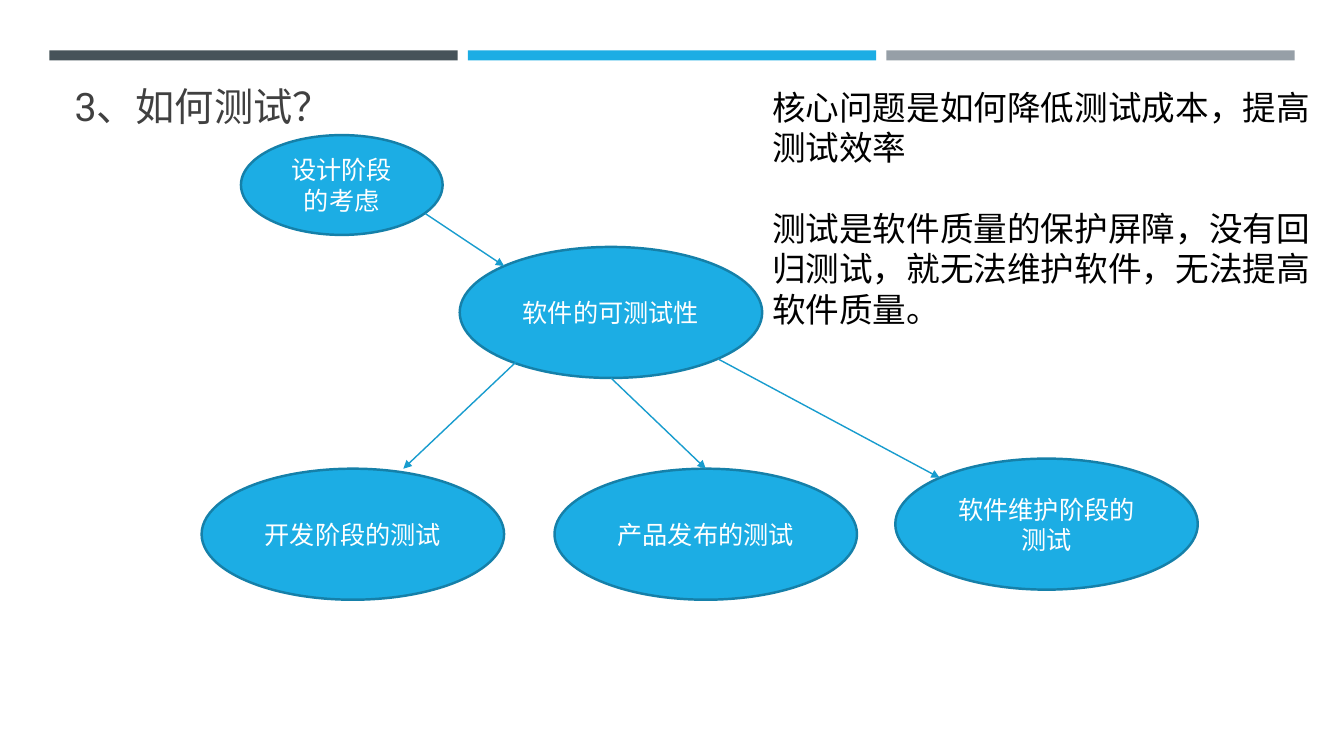
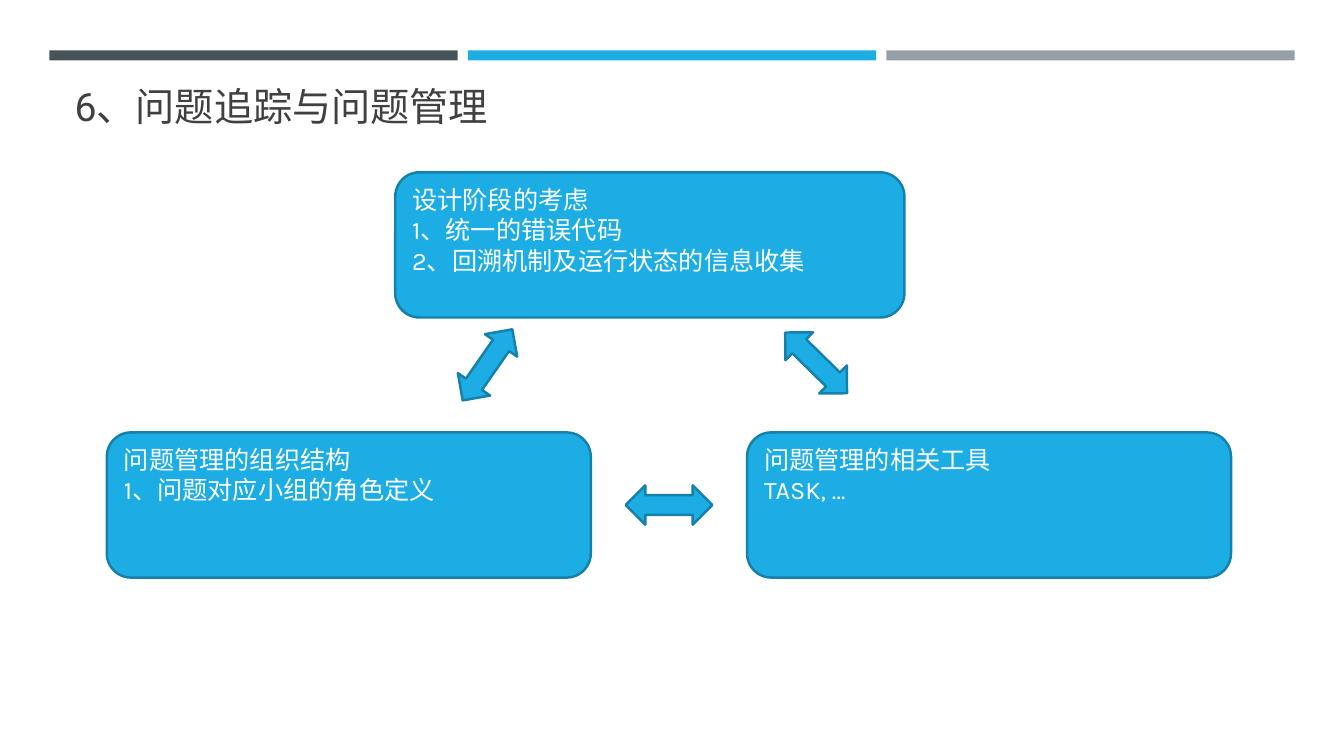
from lxml import etree
from pptx import Presentation
from pptx.dml.color import RGBColor
from pptx.enum.shapes import MSO_CONNECTOR, MSO_SHAPE
from pptx.enum.text import MSO_ANCHOR, MSO_AUTO_SIZE, PP_ALIGN
from pptx.oxml.ns import qn
from pptx.util import Inches, Pt

RECTANGLE = MSO_SHAPE.RECTANGLE
ELLIPSE = MSO_SHAPE.OVAL
ROUNDED = MSO_SHAPE.ROUNDED_RECTANGLE
DOUBLE_ARROW = MSO_SHAPE.UP_DOWN_ARROW
STRAIGHT = MSO_CONNECTOR.STRAIGHT
TOP, MIDDLE = MSO_ANCHOR.TOP, MSO_ANCHOR.MIDDLE
LEFT, CENTER = PP_ALIGN.LEFT, PP_ALIGN.CENTER
NO_AUTOFIT = MSO_AUTO_SIZE.NONE

SLATE = RGBColor(0x46, 0x53, 0x59)
BLUE = RGBColor(0x1C, 0xAD, 0xE4)
GRAY = RGBColor(0x96, 0x9F, 0xA7)
OUTLINE = RGBColor(0x15, 0x80, 0xA9)
LINK = RGBColor(0x18, 0x9C, 0xCE)
TITLE_COLOR = RGBColor(0x40, 0x40, 0x40)
WHITE = RGBColor(0xFF, 0xFF, 0xFF)
BLACK = RGBColor(0, 0, 0)
TITLE_FONT, BODY_FONT = "Roboto", "Karla"


def set_text(shape, text, font, size, color, align, anchor):
    frame = shape.text_frame
    frame.text = text
    frame.word_wrap = True
    frame.auto_size = NO_AUTOFIT
    frame.vertical_anchor = anchor
    for para in frame.paragraphs:
        para.alignment = align
        for span in para.runs:
            span.font.name = font
            span.font.size = Pt(size)
            span.font.color.rgb = color


def add_block(page, kind, left, top, width, height, fill=BLUE, outline=OUTLINE):
    block = page.shapes.add_shape(kind, Inches(left), Inches(top), Inches(width), Inches(height))
    block.shadow.inherit = False
    block.fill.solid()
    block.fill.fore_color.rgb = fill
    if outline is None:
        block.line.fill.background()
    else:
        block.line.color.rgb = outline
        block.line.width = Pt(1.75)
    return block


deck = Presentation()
deck.slide_width = Inches(13.33)
deck.slide_height = Inches(7.5)
title_only = deck.slide_layouts[5]

pages = []
for heading in ("3、如何测试？", "6、问题追踪与问题管理"):
    page = deck.slides.add_slide(title_only)
    for index, color in enumerate((SLATE, BLUE, GRAY)):
        add_block(page, RECTANGLE, 0.49 + index * 4.15, 0.5, 4.05, 0.1, color, None)
    title = page.shapes.title
    title.left, title.top = Inches(0.64), Inches(0.77)
    title.width, title.height = Inches(12.06), Inches(0.75)
    set_text(title, heading, TITLE_FONT, 28, TITLE_COLOR, LEFT, TOP)
    pages.append(page)

testing_page, tracking_page = pages

ellipses = {}
for text, left, top, width, height in (
    ("软件的可测试性", 4.56, 2.45, 3, 1.3),
    ("设计阶段的考虑", 2.39, 1.34, 2, 0.99),
    ("开发阶段的测试", 2, 4.65, 3, 1.3),
    ("产品发布的测试", 5.5, 4.65, 3, 1.3),
    ("软件维护阶段的测试", 8.88, 4.55, 3, 1.3),
):
    ellipse = add_block(testing_page, ELLIPSE, left, top, width, height)
    set_text(ellipse, text, BODY_FONT, 18, WHITE, CENTER, MIDDLE)
    ellipses[text] = ellipse

for start_x, start_y, end_x, end_y, target in (
    (4.22, 2.12, 5, 2.64, None),
    (5.12, 3.59, 4, 4.65, None),
    (6.06, 3.75, 7, 4.65, "产品发布的测试"),
    (7.12, 3.56, 9.32, 4.74, None),
):
    link = testing_page.shapes.add_connector(
        STRAIGHT, Inches(start_x), Inches(start_y), Inches(end_x), Inches(end_y)
    )
    if target:
        link.end_connect(ellipses[target], 0)
    link.line.color.rgb = LINK
    link.line.width = Pt(1)
    etree.SubElement(link.line._get_or_add_ln(), qn("a:tailEnd"), type="triangle")
    etree.SubElement(link.element.spPr, qn("a:effectLst"))

summary = testing_page.shapes.add_textbox(Inches(7.56), Inches(0.81), Inches(5.63), Inches(2.52))
set_text(
    summary,
    "核心问题是如何降低测试成本，提高测试效率\n"
    "测试是软件质量的保护屏障，没有回归测试，就无法维护软件，无法提高软件质量。",
    BODY_FONT, 24, BLACK, LEFT, TOP,
)
summary.text_frame.paragraphs[1].space_before = Pt(29)

for text, left, top, width in (
    ("设计阶段的考虑\n1、统一的错误代码\n2、回溯机制及运行状态的信息收集", 3.92, 1.71, 5.05),
    ("问题管理的组织结构\n1、问题对应小组的角色定义", 1.06, 4.29, 4.8),
    ("问题管理的相关工具\nTASK, …", 7.41, 4.29, 4.8),
):
    card = add_block(tracking_page, ROUNDED, left, top, width, 1.44)
    set_text(card, text, BODY_FONT, 18, WHITE, LEFT, TOP)

for left, top, angle in ((4.64, 3.19, 34.9), (7.9, 3.17, 314.5), (6.44, 4.58, 90)):
    arrow = add_block(tracking_page, DOUBLE_ARROW, left, top, 0.39, 0.86)
    arrow.rotation = angle

deck.save("out.pptx")
